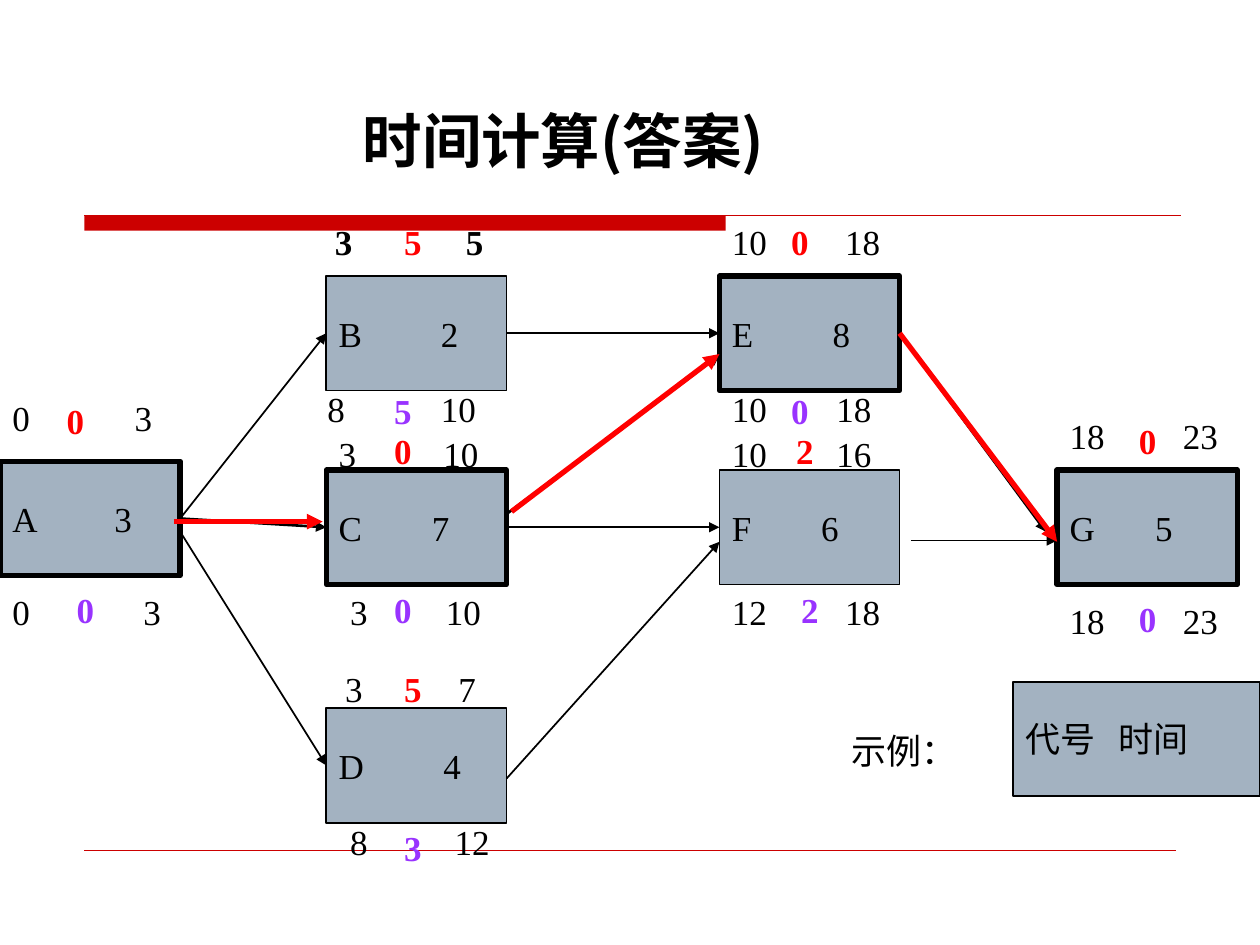
"""Build the activity-network slide with its early times, late times and slack."""
from lxml import etree
from pptx import Presentation
from pptx import util as u
from pptx.dml.color import RGBColor
from pptx.enum import shapes, text
from pptx.oxml import ns

COLORS = {"ink": "000000", "box": "A3B2C1", "rule": "CC0000",
          "early": "FF0000", "late": "9933FF"}
SANS, SERIF = "Noto Sans CJK SC", "Times New Roman"
COLUMNS = [0, 2.59, 5.71, 8.39]
ROWS = {"top": 2.19, "start": 3.66, "middle": 3.73, "bottom": 5.62}
WIDTH, HEIGHT, LABEL = 1.43, 0.91, 0.44

deck = Presentation()
deck.slide_width, deck.slide_height = u.Inches(10), u.Inches(7.5)
page = deck.slides.add_slide(deck.slide_layouts[6])


def write(words, box, size=20, color="ink", bold=False, font=SERIF,
          anchor=text.MSO_ANCHOR.TOP, wrap=True, stop=None):
    frame = box.text_frame
    frame.word_wrap, frame.vertical_anchor = wrap, anchor
    para = frame.paragraphs[0]
    para.alignment = text.PP_ALIGN.LEFT
    if stop:
        tabs = etree.SubElement(para._p.get_or_add_pPr(), ns.qn("a:tabLst"))
        etree.SubElement(tabs, ns.qn("a:tab"), pos=str(u.Inches(stop)), algn="l")
    span = para.add_run()
    span.text = words
    span.font.size, span.font.bold, span.font.name = u.Pt(size), bold, font
    span.font.color.rgb = RGBColor.from_string(COLORS[color])
    etree.SubElement(span._r.get_or_add_rPr(), ns.qn("a:ea"), typeface=SANS)


def connect(start, end, color="ink", weight=1, arrow=True):
    first = start if isinstance(start, tuple) else (0, 0)
    last = end if isinstance(end, tuple) else (0, 0)
    line = page.shapes.add_connector(
        shapes.MSO_CONNECTOR.STRAIGHT, *[u.Inches(v) for v in first + last])
    if start in nodes:
        line.begin_connect(nodes[start], 3)
    if end in nodes:
        line.end_connect(nodes[end], 1)
    line.line.color.rgb = RGBColor.from_string(COLORS[color])
    line.line.width = u.Pt(weight)
    if arrow:
        etree.SubElement(line.line._get_or_add_ln(), ns.qn("a:tailEnd"), type="triangle")
    etree.SubElement(line._element.spPr, ns.qn("a:effectLst"))


nodes = {}
bar = page.shapes.add_shape(shapes.MSO_SHAPE.RECTANGLE, u.Inches(0.67),
                            u.Inches(1.71), u.Inches(5.09), u.Inches(0.12))
bar.shadow.inherit = False
bar.fill.solid()
bar.fill.fore_color.rgb = RGBColor.from_string(COLORS["rule"])
bar.line.fill.background()
connect((0.67, 1.71), (9.37, 1.71), "rule", 0.75, arrow=False)
connect((0.67, 6.75), (9.33, 6.75), "rule", 0.25, arrow=False)

title = page.shapes.add_textbox(u.Inches(2.78), u.Inches(0.6), u.Inches(4.17), u.Inches(0.84))
write("时间计算(答案)", title, size=34, bold=True, font=SANS, anchor=text.MSO_ANCHOR.BOTTOM)

activities = {
    "A": (COLUMNS[0], ROWS["start"], 3, "3", 0.81),
    "E": (COLUMNS[2], ROWS["top"], 3, "8", 0.8),
    "C": (COLUMNS[1], ROWS["middle"], 3, "7", 0.74),
    "F": (COLUMNS[2], ROWS["middle"], 0.75, "6", 0.71),
    "D": (COLUMNS[1], ROWS["bottom"], 1, "4", 0.83),
    "B": (COLUMNS[1], ROWS["top"], 1, "2", 0.81),
    "G": (COLUMNS[3], ROWS["middle"], 3, "5", 0.68),
    "代号": (8.04, 5.41, 1, "时间", 0.74),
}
for name, (left, top, weight, duration, stop) in activities.items():
    width = 10 - left if name == "代号" else WIDTH
    node = page.shapes.add_shape(shapes.MSO_SHAPE.RECTANGLE, u.Inches(left),
                                 u.Inches(top), u.Inches(width), u.Inches(HEIGHT))
    node.shadow.inherit = False
    node.fill.solid()
    node.fill.fore_color.rgb = RGBColor.from_string(COLORS["box"])
    node.line.color.rgb = RGBColor.from_string(COLORS["ink"])
    node.line.width = u.Pt(weight)
    write(f"{name}\t{duration}", node, anchor=text.MSO_ANCHOR.MIDDLE, stop=stop)
    nodes[name] = node

for start, end, weight in [
    ("A", "C", 1.5), ("B", "E", 1), ((7.23, 4.29), (8.39, 4.29), 1),
    ("C", "F", 1), ("A", "B", 1), ((1.43, 4.22), "D", 1),
    ("E", (8.3, 4.22), 1.5), ((4.02, 6.18), (5.71, 4.3), 1),
    ((4.02, 4.08), (5.71, 2.82), 1.5),
]:
    connect(start, end, weight=weight)

legend = page.shapes.add_textbox(u.Inches(6.66), u.Inches(5.74), u.Inches(1.03), u.Inches(LABEL))
write("示例：", legend, wrap=False)

times = [
    ("A", "early", 0, -0.56, "0\t3", 0.97, "0", 0.43, -0.54),
    ("B", "early", -0.03, -0.49, "3\t5", 1.04, "5", 0.52, -0.49),
    ("C", "early", 0, -0.35, "3\t10", 0.83, "0", 0.44, -0.37),
    ("D", "early", 0.05, -0.37, "3\t7", 0.9, "5", 0.52, -0.37),
    ("E", "early", 0, -0.49, "10\t18", 0.9, "0", 0.47, -0.49),
    ("F", "early", 0, -0.35, "10\t16", 0.83, "2", 0.51, -0.37),
    ("G", "early", 0, -0.49, "18\t23", 0.9, "0", 0.55, -0.45),
    ("A", "late", 0, 0.98, "0\t3", 1.04, "0", 0.51, 0.96),
    ("B", "late", -0.09, 0.84, "8\t10", 0.9, "5", 0.44, 0.85),
    ("C", "late", 0.09, 0.91, "3\t10", 0.76, "0", 0.44, 0.89),
    ("D", "late", 0.09, 0.84, "8\t12", 0.83, "3", 0.52, 0.89),
    ("E", "late", 0, 0.84, "10\t18", 0.83, "0", 0.47, 0.85),
    ("F", "late", 0, 0.91, "12\t18", 0.9, "2", 0.55, 0.89),
    ("G", "late", 0, 0.98, "18\t23", 0.9, "0", 0.55, 0.96),
]
for name, kind, shift, drop, span_times, stop, slack, slack_shift, slack_drop in times:
    left, top = activities[name][:2]
    pair = page.shapes.add_textbox(u.Inches(left + shift), u.Inches(top + drop),
                                   u.Inches(WIDTH), u.Inches(LABEL))
    write(span_times, pair, bold=(name, kind) == ("B", "early"), stop=stop)
    mark = page.shapes.add_textbox(u.Inches(left + slack_shift), u.Inches(top + slack_drop),
                                   u.Inches(0.34), u.Inches(LABEL))
    write(slack, mark, color=kind, bold=True, wrap=False)

for start, end in [((1.38, 4.14), (2.56, 4.14)), ((4.06, 4.06), (5.71, 2.81)),
                   ("E", (8.39, 4.3))]:
    connect(start, end, "early", 3)

deck.save("out.pptx")
